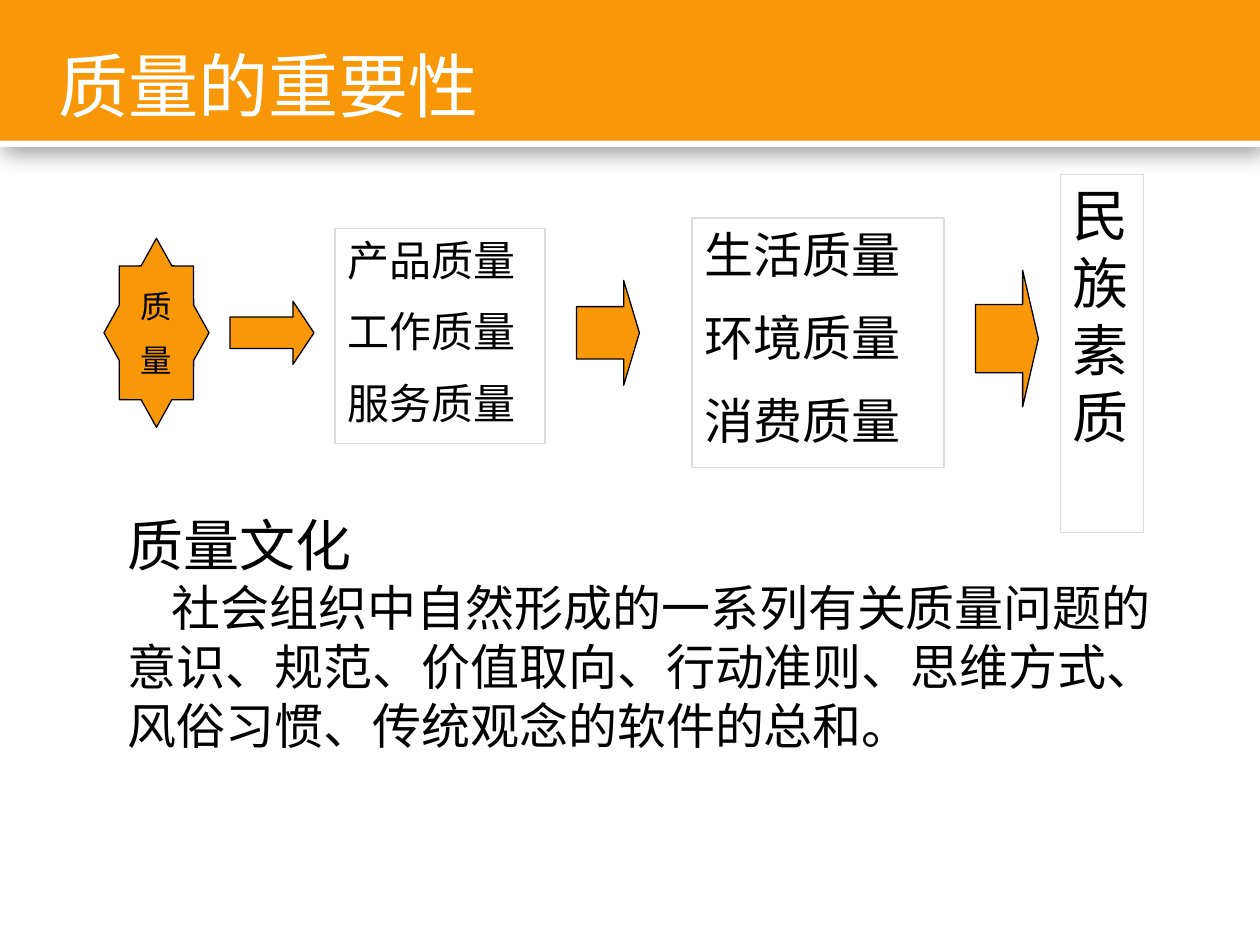
from dataclasses import dataclass

from lxml.etree import SubElement
from pptx import Presentation
from pptx.dml.color import RGBColor
from pptx.enum.shapes import MSO_SHAPE
from pptx.enum.text import MSO_ANCHOR, MSO_AUTO_SIZE, PP_ALIGN
from pptx.oxml.ns import qn
from pptx.util import Inches, Pt


@dataclass(frozen=True)
class Theme:
    font: str = "Noto Sans CJK SC"
    orange: str = "F89708"
    black: str = "000000"
    white: str = "FFFFFF"
    border: str = "DDDDDD"
    title: int = 40
    heading: int = 32
    large: int = 28
    medium: int = 24
    small: int = 18
    line_width: float = 0.75


class SlideBuilder:
    columns, rows = 120, 90

    def __init__(self, presentation, theme):
        self.theme = theme
        self.column = presentation.slide_width / self.columns
        self.row = presentation.slide_height / self.rows
        self.slide = presentation.slides.add_slide(presentation.slide_layouts[5])

    def place(self, left, top, width, height):
        return (round(left * self.column), round(top * self.row),
                round(width * self.column), round(height * self.row))

    def set_text(self, shape, lines, color, space=0, align=PP_ALIGN.LEFT, anchor=MSO_ANCHOR.TOP):
        frame = shape.text_frame
        frame.word_wrap = True
        frame.auto_size = MSO_AUTO_SIZE.NONE
        frame.vertical_anchor = anchor
        frame.text = "\n".join(text for text, size in lines)
        for index, (paragraph, (text, size)) in enumerate(zip(frame.paragraphs, lines)):
            paragraph.alignment = align
            paragraph.space_before = Pt(size * space if index else 0)
            font = paragraph.font
            font.name = self.theme.font
            font.size = Pt(size)
            font.color.rgb = RGBColor.from_string(color)
            properties = paragraph._p.pPr.find(qn("a:defRPr"))
            SubElement(properties, qn("a:ea"), typeface=self.theme.font)
        return frame

    def title(self, area, text):
        shape = self.slide.shapes.title
        shape.left, shape.top, shape.width, shape.height = self.place(*area)
        self.set_text(shape, [(text, self.theme.title)], self.theme.white)
        self.slide.shapes._spTree.append(shape._element)

    def shape(self, kind, area, fill=None, line=None, adjustments=()):
        shape = self.slide.shapes.add_shape(kind, *self.place(*area))
        shape.shadow.inherit = False
        if fill:
            shape.fill.solid()
            shape.fill.fore_color.rgb = RGBColor.from_string(fill)
        else:
            shape.fill.background()
        if line:
            shape.line.color.rgb = RGBColor.from_string(line)
            shape.line.width = Pt(self.theme.line_width)
        else:
            shape.line.fill.background()
        for index, value in enumerate(adjustments):
            shape.adjustments[index] = value
        return shape

    def header(self, height, strip):
        band = self.shape(MSO_SHAPE.RECTANGLE, (0, strip, self.columns, height), self.theme.white)
        effects = band._element.spPr.find(qn("a:effectLst"))
        shadow = SubElement(effects, qn("a:outerShdw"), blurRad=str(Pt(13)), dist=str(Pt(3)),
                            dir="2700000", algn="tl", rotWithShape="0")
        color = SubElement(shadow, qn("a:srgbClr"), val=self.theme.black)
        SubElement(color, qn("a:alpha"), val="40000")
        self.shape(MSO_SHAPE.RECTANGLE, (0, 0, self.columns, height), self.theme.orange)

    def arrow(self, area, head):
        self.shape(MSO_SHAPE.RIGHT_ARROW, area, self.theme.orange, self.theme.black, (0.5, head))

    def star(self, area, text):
        shape = self.shape(MSO_SHAPE.STAR_8_POINT, area, self.theme.orange, self.theme.black, (0.383,))
        frame = self.set_text(shape, [(character, self.theme.small) for character in text],
                              self.theme.black, 0.5, PP_ALIGN.CENTER, MSO_ANCHOR.MIDDLE)
        frame.margin_left = frame.margin_right = 0

    def box(self, area, lines, size, space=0):
        shape = self.shape(MSO_SHAPE.RECTANGLE, area, line=self.theme.border)
        self.set_text(shape, [(line, size) for line in lines], self.theme.black, space)

    def definition(self, area, heading, text):
        shape = self.slide.shapes.add_textbox(*self.place(*area))
        lines = [(heading, self.theme.heading), (text, self.theme.large)]
        frame = self.set_text(shape, lines, self.theme.black)
        frame.paragraphs[1]._p.pPr.set("indent", str(Inches(0.35)))


def main():
    presentation = Presentation()
    presentation.slide_width, presentation.slide_height = Inches(10), Inches(7.5)
    theme = Theme()
    builder = SlideBuilder(presentation, theme)
    builder.header(13.4, 0.6)
    builder.definition(
        (11, 48, 100, 24.4), "质量文化",
        "社会组织中自然形成的一系列有关质量问题的意识、规范、价值取向、行动准则、"
        "思维方式、风俗习惯、传统观念的软件的总和。")
    builder.star((9.9, 22.7, 10, 18), "质量")
    builder.arrow((21.9, 28.7, 8, 6), 0.333)
    builder.box((31.9, 21.75, 20, 20.5), ("产品质量", "工作质量", "服务质量"), theme.medium, 0.5)
    builder.arrow((54.9, 26.7, 6, 10), 0.25)
    builder.box((65.9, 20.75, 24, 23.75), ("生活质量", "环境质量", "消费质量"), theme.large, 0.5)
    builder.arrow((92.9, 25.75, 6, 13), 0.25)
    builder.box((101, 16.65, 7.9, 34.1), "民族素质", theme.heading)
    builder.title((4.4, 3.4, 83, 9.25), "质量的重要性")
    presentation.save("out.pptx")


if __name__ == "__main__":
    main()
